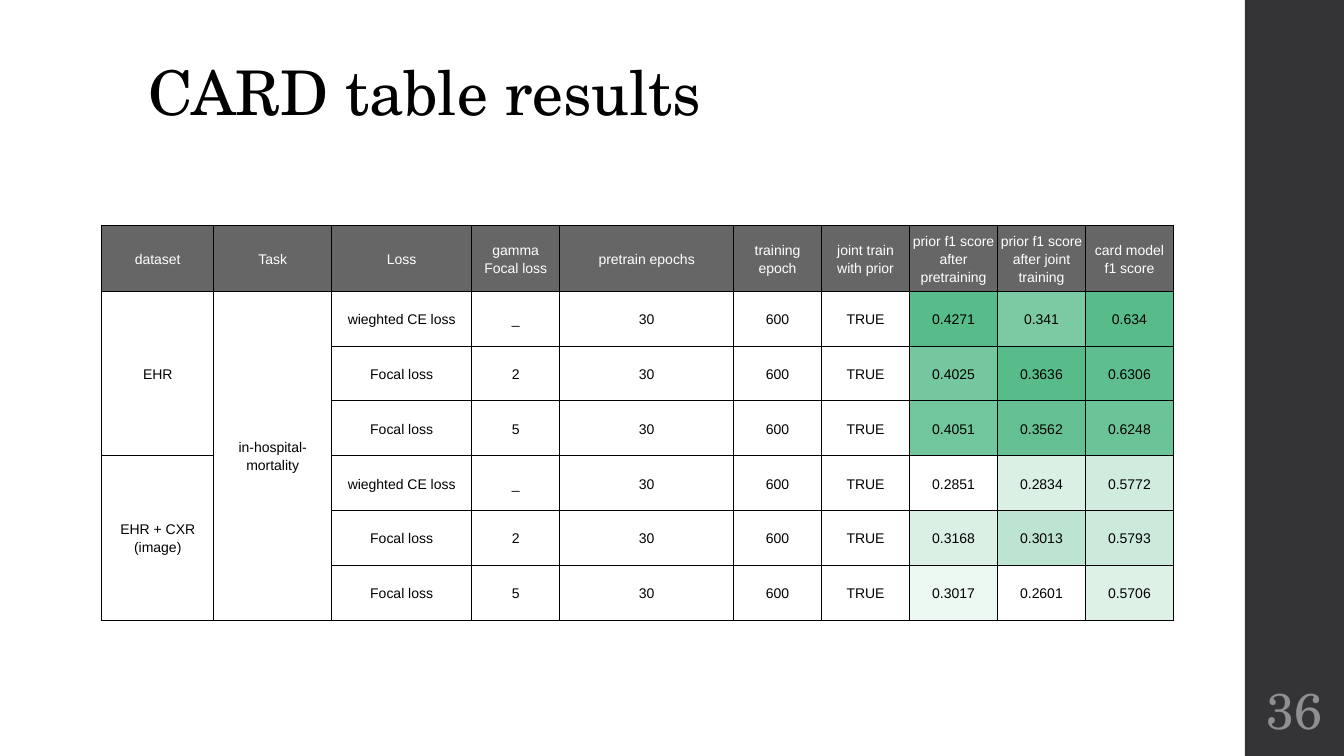
from dataclasses import dataclass

from lxml import etree
from pptx import Presentation
from pptx.dml.color import RGBColor
from pptx.enum.shapes import MSO_SHAPE
from pptx.enum.text import MSO_ANCHOR, MSO_AUTO_SIZE, PP_ALIGN
from pptx.oxml.ns import qn
from pptx.util import Inches, Pt

RECTANGLE = MSO_SHAPE.RECTANGLE
MIDDLE, BOTTOM = MSO_ANCHOR.MIDDLE, MSO_ANCHOR.BOTTOM
NO_AUTOFIT = MSO_AUTO_SIZE.NONE
LEFT, CENTER = PP_ALIGN.LEFT, PP_ALIGN.CENTER


@dataclass(frozen=True)
class Theme:
    """Fonts, type sizes and colours of the deck."""

    serif: str = "TeX Gyre Schola"
    sans: str = "Arial"
    title_size: int = 44
    number_size: int = 36
    table_size: int = 10
    border_width: float = 0.75
    ink: str = "000000"
    paper: str = "FFFFFF"
    sidebar: str = "343437"
    number: str = "8E8E93"
    header: str = "666666"
    heat: tuple = (
        ("57BB8A", "7CCAA4", "57BB8A"),
        ("75C79F", "57BB8A", "5FBE8F"),
        ("72C69D", "64C093", "6BC398"),
        ("FFFFFF", "DAF0E5", "CFECDE"),
        ("DAF0E5", "BDE4D1", "CBEADB"),
        ("ECF8F2", "FFFFFF", "DDF1E7"),
    )


@dataclass(frozen=True)
class Box:
    """A region measured in grid units."""

    left: float
    top: float
    width: float
    height: float

    def frame(self):
        """Return the region as slide lengths."""
        return [grid(n) for n in (self.left, self.top, self.width, self.height)]


THEME = Theme()
UNITS_PER_INCH = 10
SLIDE_WIDTH, SLIDE_HEIGHT = 133.33, 75
SIDEBAR = Box(123.5, 0, SLIDE_WIDTH - 123.5, SLIDE_HEIGHT)
TITLE = Box(13.7, 4.9, 106, 8.4)
NARROW = 8.73
COLUMNS = [11.1, 11.7, 13.9, NARROW, 17.25] + [NARROW] * 5
ROWS = [6.55] + [5.44] * 6
TABLE = Box(10.1, 22.35, sum(COLUMNS), sum(ROWS))

HEADINGS = [
    "dataset", "Task", "Loss", "gamma Focal loss", "pretrain epochs",
    "training epoch", "joint train with prior",
    "prior f1 score after pretraining",
    "prior f1 score after joint training", "card model f1 score",
]
TASK = "in-hospital-mortality"
DATASETS = ["EHR", "EHR + CXR (image)"]
LOSSES = [("wieghted CE loss", "_"), ("Focal loss", "2"), ("Focal loss", "5")]
SETTINGS = ("30", "600", "TRUE")
SCORES = [
    ("0.4271", "0.341", "0.634"),
    ("0.4025", "0.3636", "0.6306"),
    ("0.4051", "0.3562", "0.6248"),
    ("0.2851", "0.2834", "0.5772"),
    ("0.3168", "0.3013", "0.5793"),
    ("0.3017", "0.2601", "0.5706"),
]


def grid(units):
    """Turn grid units into a slide length."""
    return Inches(units / UNITS_PER_INCH)


def write(frame, text, font, size, color, align, spacing):
    """Set one paragraph of text and format it."""
    frame.word_wrap = True
    frame.text = text
    para = frame.paragraphs[0]
    para.alignment = align
    para.line_spacing = spacing
    for span in para.runs:
        span.font.name = font
        span.font.size = Pt(size)
        span.font.color.rgb = RGBColor.from_string(color)


def add_title(page, box, text):
    """Place the title placeholder in its box."""
    title = page.shapes.title
    title.left, title.top, title.width, title.height = box.frame()
    frame = title.text_frame
    write(frame, text, THEME.serif, THEME.title_size, THEME.ink, LEFT, 0.9)
    frame.auto_size = NO_AUTOFIT
    frame.vertical_anchor = BOTTOM


def add_sidebar(page, box, number):
    """Draw the dark side band with the page number at its foot."""
    band = page.shapes.add_shape(RECTANGLE, *box.frame())
    band.shadow.inherit = False
    band.fill.solid()
    band.fill.fore_color.rgb = RGBColor.from_string(THEME.sidebar)
    band.line.fill.background()
    foot = Box(box.left, box.top + 0.9 * box.height, box.width, 6.5)
    frame = page.shapes.add_textbox(*foot.frame()).text_frame
    write(frame, number, THEME.serif, THEME.number_size, THEME.number, CENTER, 0.9)
    frame.vertical_anchor = MIDDLE
    frame.margin_left = frame.margin_right = grid(0.5)


def add_borders(cell):
    """Outline all four sides of a cell."""
    properties = cell._tc.get_or_add_tcPr()
    for index, side in enumerate(("a:lnL", "a:lnR", "a:lnT", "a:lnB")):
        line = etree.Element(qn(side), w=str(Pt(THEME.border_width)))
        fill = etree.SubElement(line, qn("a:solidFill"))
        etree.SubElement(fill, qn("a:srgbClr"), val=THEME.ink)
        properties.insert(index, line)


def fill_cell(cell, text, ink, fill):
    """Write and style one table cell."""
    write(cell.text_frame, text, THEME.sans, THEME.table_size, ink, CENTER, 1.15)
    cell.vertical_anchor = MIDDLE
    cell.margin_left = cell.margin_right = grid(0.3)
    cell.margin_top = cell.margin_bottom = grid(0.2)
    cell.fill.solid()
    cell.fill.fore_color.rgb = RGBColor.from_string(fill)
    add_borders(cell)


def result_rows():
    """Yield the texts and fills of each result row."""
    for index, scores in enumerate(SCORES):
        group, step = divmod(index, len(LOSSES))
        dataset = "" if step else DATASETS[group]
        task = "" if index else TASK
        texts = [dataset, task, *LOSSES[step], *SETTINGS, *scores]
        plain = len(texts) - len(scores)
        yield texts, [THEME.paper] * plain + list(THEME.heat[index])


def add_results(page, box):
    """Build the results table in its box."""
    shape = page.shapes.add_table(len(ROWS), len(COLUMNS), *box.frame())
    table = shape.table
    for column, width in zip(table.columns, COLUMNS):
        column.width = grid(width)
    for row, height in zip(table.rows, ROWS):
        row.height = grid(height)
    for column, heading in enumerate(HEADINGS):
        fill_cell(table.cell(0, column), heading, THEME.paper, THEME.header)
    for row, (texts, fills) in enumerate(result_rows(), 1):
        for column, (text, fill) in enumerate(zip(texts, fills)):
            fill_cell(table.cell(row, column), text, THEME.ink, fill)
    last = len(SCORES)
    table.cell(1, 1).merge(table.cell(last, 1))
    for first in range(1, last + 1, len(LOSSES)):
        table.cell(first, 0).merge(table.cell(first + len(LOSSES) - 1, 0))


def main():
    """Build and save the deck."""
    deck = Presentation()
    deck.slide_width, deck.slide_height = grid(SLIDE_WIDTH), grid(SLIDE_HEIGHT)
    page = deck.slides.add_slide(deck.slide_layouts.get_by_name("Title Only"))
    add_sidebar(page, SIDEBAR, "36")
    add_title(page, TITLE, "CARD table results")
    add_results(page, TABLE)
    deck.save("out.pptx")


if __name__ == "__main__":
    main()
